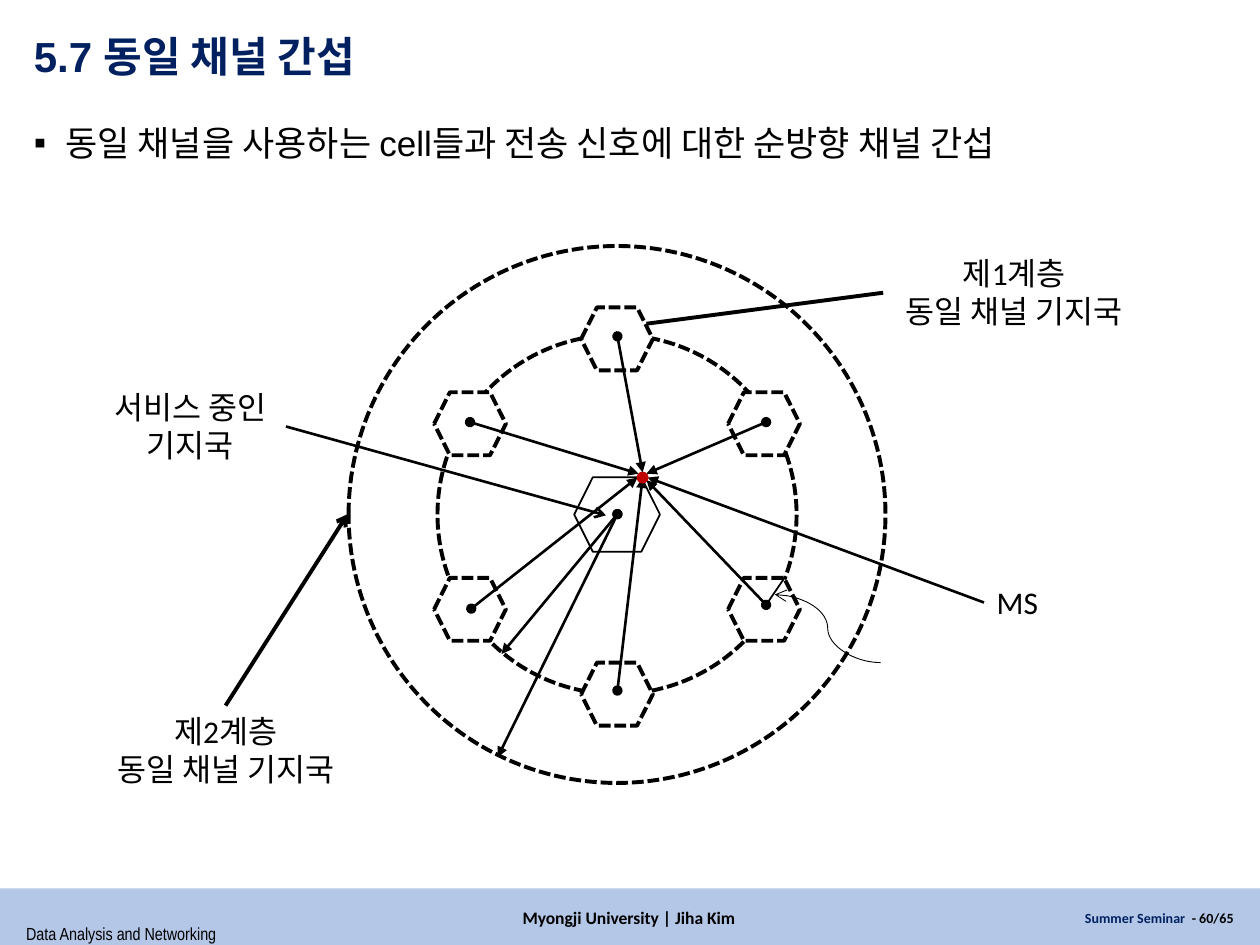
from lxml.etree import SubElement
from pptx import Presentation
from pptx.dml.color import RGBColor
from pptx.enum.dml import MSO_LINE
from pptx.enum.shapes import MSO_CONNECTOR, MSO_SHAPE
from pptx.enum.text import MSO_ANCHOR, PP_ALIGN
from pptx.oxml.ns import qn
from pptx.util import Pt

COLORS = {"black": "000000", "white": "FFFFFF", "navy": "002060", "band": "B4C7E7", "red": "C00000"}

TITLE = "5.7 동일 채널 간섭"
BULLET = "동일 채널을 사용하는 cell들과 전송 신호에 대한 순방향 채널 간섭"
FOOTERS = [
    ((7.9, 524, 124.6, 19.5), [("Data Analysis and Networking", "black")],
     dict(size=10, font="Arial Narrow", wrap=False, anchor=MSO_ANCHOR.TOP)),
    ((237.6, 515.5, 243.4, 18), [("Myongji University | Jiha Kim", "black")],
     dict(size=10, bold=True, align=PP_ALIGN.CENTER)),
    ((509.8, 515.5, 202.3, 18), [("Summer Seminar  ", "navy"), ("- 60/65", "black")],
     dict(size=8, bold=True, align=PP_ALIGN.RIGHT)),
]

CENTER = (352.6, 294)
RING_CENTER = (352.6, 295.2)
INNER_R, OUTER_R = 102.6, 153.4
SERVING_SIZE, CELL_SIZE = (49, 42.6), (41, 36)
CELL_OFFSETS = [(84, 53), (-84, 53), (0, 101.5), (0, -101.5), (84, -53), (-84, -53)]
MS_POINT = (367.2, 272.9)

# label box, lines, connection site, pointer end, pointer width, arrowhead
LABELS = [
    ((504.7, 141.8, 149.8, 51), ["제1계층", "동일 채널 기지국"], 1, (369.4, 185), 2.25, None),
    ((562.3, 329.8, 38.2, 29), ["MS"], 1, (370.1, 272.9), 1.5, "triangle"),
    ((54, 403.2, 149.8, 51), ["제2계층", "동일 채널 기지국"], 0, (198.7, 293.8), 2.25, "arrow"),
    ((54, 218.2, 109.4, 51), ["서비스 중인", "기지국"], 3, (346.3, 294.5), 1.5, "arrow"),
]
SIGNALS = [
    ((437.8, 241.2), (369.4, 270.7)),
    ((437.8, 345.6), (369.4, 274.3)),
    ((352.8, 394.6), (367.2, 272.9)),
    ((269.3, 347.8), (364.3, 272.9)),
    ((268.6, 241.2), (365, 270.7)),
    ((352.8, 192.2), (367.2, 270)),
    ((352.8, 293.8), (286.6, 373.7)),
    ((352.8, 293.8), (284.4, 432.7)),
]
CELL_RADIUS = ((437.8, 345.6), (448.6, 329.8))
CURVE = ((503.3, 378.7), (442.8, 339.8))


def rgb(name):
    """Return the named colour."""
    return RGBColor.from_string(COLORS[name])


def put_text(sp, paragraphs, size=18, font="Calibri", bold=False, align=PP_ALIGN.LEFT,
             anchor=MSO_ANCHOR.MIDDLE, wrap=True, spacing=None):
    """Write paragraphs, each a list of (text, colour) runs, into a shape."""
    tf = sp.text_frame
    tf.word_wrap, tf.vertical_anchor = wrap, anchor
    for i, runs in enumerate(paragraphs):
        p = tf.add_paragraph() if i else tf.paragraphs[0]
        p.alignment, p.space_before = align, Pt(0)
        if spacing:
            p.line_spacing = spacing
        for text, color in runs:
            r = p.add_run()
            r.text = text
            r.font.size, r.font.name, r.font.bold = Pt(size), font, bold
            r.font.color.rgb = rgb(color)


def add_text(s, box, paragraphs, **fmt):
    """Add a formatted text box."""
    sp = s.shapes.add_textbox(*map(Pt, box))
    put_text(sp, paragraphs, **fmt)
    return sp


def fill_placeholder(sp, box, text, color, **fmt):
    """Move a placeholder and give it formatted text."""
    sp.left, sp.top, sp.width, sp.height = map(Pt, box)
    put_text(sp, [[(text, color)]], **fmt)


def add_outline(s, kind, box, fill=None, line=None, width=1, dash=False):
    """Add a preset shape with optional fill and line."""
    sp = s.shapes.add_shape(kind, *map(Pt, box))
    sp.shadow.inherit = False
    if fill:
        sp.fill.solid()
        sp.fill.fore_color.rgb = rgb(fill)
    else:
        sp.fill.background()
    if line:
        sp.line.color.rgb, sp.line.width = rgb(line), Pt(width)
        if dash:
            sp.line.dash_style = MSO_LINE.SQUARE_DOT
    else:
        sp.line.fill.background()
    return sp


def add_centered(s, kind, center, size, **fmt):
    """Add a preset shape around a centre point."""
    (x, y), (w, h) = center, size
    return add_outline(s, kind, (x - w / 2, y - h / 2, w, h), **fmt)


def add_line(s, start, end, width, head=None, tail=None, kind=MSO_CONNECTOR.STRAIGHT):
    """Add a black connector with optional end marks."""
    c = s.shapes.add_connector(kind, *map(Pt, (*start, *end)))
    c.line.color.rgb, c.line.width = rgb("black"), Pt(width)
    ln = c.line._get_or_add_ln()
    for tag, mark in (("a:headEnd", head), ("a:tailEnd", tail)):
        if mark:
            SubElement(ln, qn(tag), type=mark)
    SubElement(c._element.spPr, qn("a:effectLst"))
    return c


def add_bullet(p, char, indent):
    """Give a paragraph a hanging bullet."""
    pPr = p._p.get_or_add_pPr()
    pPr.set("marL", str(Pt(indent)))
    pPr.set("indent", str(-Pt(indent)))
    SubElement(pPr, qn("a:buFont"), typeface="Arial")
    SubElement(pPr, qn("a:buChar"), char=char)


def add_diagram(s):
    """Draw the tiers of co-channel cells, their signals and labels."""
    add_outline(s, MSO_SHAPE.RECTANGLE, (47.5, 109.4, 612, 351.4), fill="white")
    dashed = dict(line="black", width=2.25, dash=True)
    add_centered(s, MSO_SHAPE.OVAL, CENTER, (2 * INNER_R,) * 2, **dashed)
    add_centered(s, MSO_SHAPE.HEXAGON, CENTER, SERVING_SIZE, fill="white", line="black")
    for dx, dy in CELL_OFFSETS:
        center = (RING_CENTER[0] + dx, RING_CENTER[1] + dy)
        add_centered(s, MSO_SHAPE.HEXAGON, center, CELL_SIZE, fill="white", **dashed)
    add_centered(s, MSO_SHAPE.OVAL, CENTER, (2 * OUTER_R,) * 2, **dashed)
    for start, end in SIGNALS:
        add_line(s, start, end, 1.5, head="oval", tail="triangle")
    add_line(s, *CELL_RADIUS, 1)
    add_line(s, *CURVE, 0.5, tail="arrow", kind=MSO_CONNECTOR.CURVE)
    for box, lines, site, end, width, tail in LABELS:
        sp = add_text(s, box, [[(t, "black")] for t in lines], align=PP_ALIGN.CENTER,
                      anchor=MSO_ANCHOR.TOP, wrap=False)
        add_line(s, box[:2], end, width, tail=tail).begin_connect(sp, site)
    add_centered(s, MSO_SHAPE.OVAL, MS_POINT, (5.8, 5.8), fill="red", line="red")


def main():
    """Build and save the slide."""
    prs = Presentation()
    prs.slide_width, prs.slide_height = Pt(720), Pt(540)
    s = prs.slides.add_slide(prs.slide_layouts[1])
    title, body = s.placeholders
    fill_placeholder(title, (12.2, 13.7, 699, 40.3), TITLE, "navy", size=24, font="Arial",
                     bold=True, spacing=0.9)
    add_bullet(body.text_frame.paragraphs[0], "▪", 18)
    fill_placeholder(body, (12.2, 61.2, 694.8, 441.4), BULLET, "black", size=20, font="Arial",
                     anchor=MSO_ANCHOR.TOP, spacing=1.2)
    add_outline(s, MSO_SHAPE.RECTANGLE, (0, 507.6, 720, 32.4), fill="band")
    for box, runs, fmt in FOOTERS:
        add_text(s, box, [runs], **fmt)
    add_diagram(s)
    prs.save("out.pptx")


if __name__ == "__main__":
    main()
